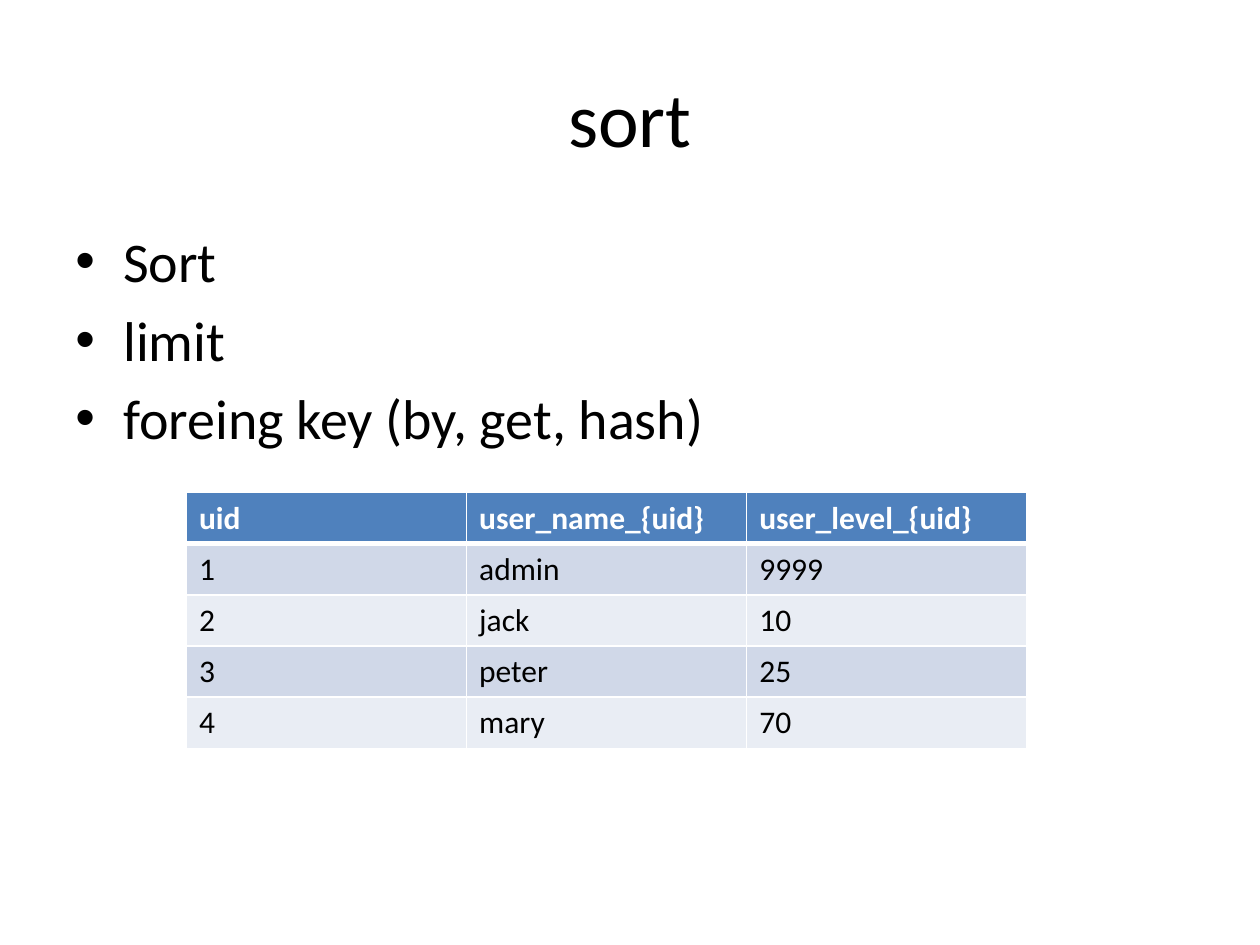
from lxml.etree import SubElement as Sub
from pptx import Presentation
from pptx.dml.color import RGBColor
from pptx.enum.text import MSO_ANCHOR as Anchor, PP_ALIGN as Align
from pptx.oxml.ns import qn
from pptx.util import Inches, Pt


def color(code):
    return RGBColor.from_string(code)


def write(par, text, size=18, ink="000000", bold=False, font="Calibri", align=Align.LEFT):
    par.alignment = align
    run = par.add_run()
    run.text = text
    run.font.name = font
    run.font.size = Pt(size)
    run.font.bold = bold
    run.font.color.rgb = color(ink)


class Deck:
    head = "4F81BD"
    bands = ("D0D8E8", "E9EDF4")
    white = "FFFFFF"

    def __init__(self):
        self.prs = Presentation()
        self.prs.slide_width, self.prs.slide_height = Inches(10), Inches(7.5)
        self.slide = self.prs.slides.add_slide(self.prs.slide_layouts[6])

    def frame(self, left, top, width, height, anchor):
        box = self.slide.shapes.add_textbox(
            Inches(left), Inches(top), Inches(width), Inches(height))
        box.text_frame.word_wrap = True
        box.text_frame.vertical_anchor = anchor
        return box.text_frame

    def title(self, text, *at):
        frame = self.frame(*at, Anchor.MIDDLE)
        write(frame.paragraphs[0], text, size=44, align=Align.CENTER)

    def bullets(self, items, *at):
        frame = self.frame(*at, Anchor.TOP)
        for num, item in enumerate(items):
            par = frame.add_paragraph() if num else frame.paragraphs[0]
            write(par, item, size=32)
            # Hanging bullet, with a gap of a fifth of the line
            props = par._p.get_or_add_pPr()
            props.set("marL", str(Inches(0.38)))
            props.set("indent", str(Inches(-0.38)))
            Sub(Sub(props, qn("a:spcBef")), qn("a:spcPct"), val="20000")
            Sub(props, qn("a:buFont"), typeface="Arial")
            Sub(props, qn("a:buChar"), char="•")

    def border(self, cell, row):
        # A thick rule parts the header from the body
        props = cell._tc.get_or_add_tcPr()
        wide = {"T": 3 if row == 1 else 1, "B": 3 if row == 0 else 1}
        for side in "LRTB":
            line = Sub(props, qn("a:ln" + side), w=str(Pt(wide.get(side, 1))))
            Sub(Sub(line, qn("a:solidFill")), qn("a:srgbClr"), val=self.white)

    def table(self, rows, left, top, width, height):
        grid = self.slide.shapes.add_table(
            len(rows), len(rows[0]), Inches(left), Inches(top),
            Inches(width), Inches(height)).table
        for r, row in enumerate(rows):
            for c, text in enumerate(row):
                cell = grid.cell(r, c)
                cell.vertical_anchor = Anchor.MIDDLE
                self.border(cell, r)
                cell.fill.solid()
                cell.fill.fore_color.rgb = color(self.bands[(r - 1) % 2] if r else self.head)
                write(cell.text_frame.paragraphs[0], text,
                      ink="000000" if r else self.white, bold=r == 0)


def main():
    deck = Deck()

    # Title and commands
    deck.title("sort", 0.5, 0.3, 9, 1.25)
    deck.bullets(["Sort", "limit", "foreing key (by, get, hash)"], 0.5, 1.75, 9, 4.95)

    # Users
    users = [
        ("uid", "user_name_{uid}", "user_level_{uid}"),
        ("1", "admin", "9999"),
        ("2", "jack", "10"),
        ("3", "peter", "25"),
        ("4", "mary", "70"),
    ]
    deck.table(users, 1.48, 3.91, 6.67, 2.03)

    deck.prs.save("out.pptx")


if __name__ == "__main__":
    main()
